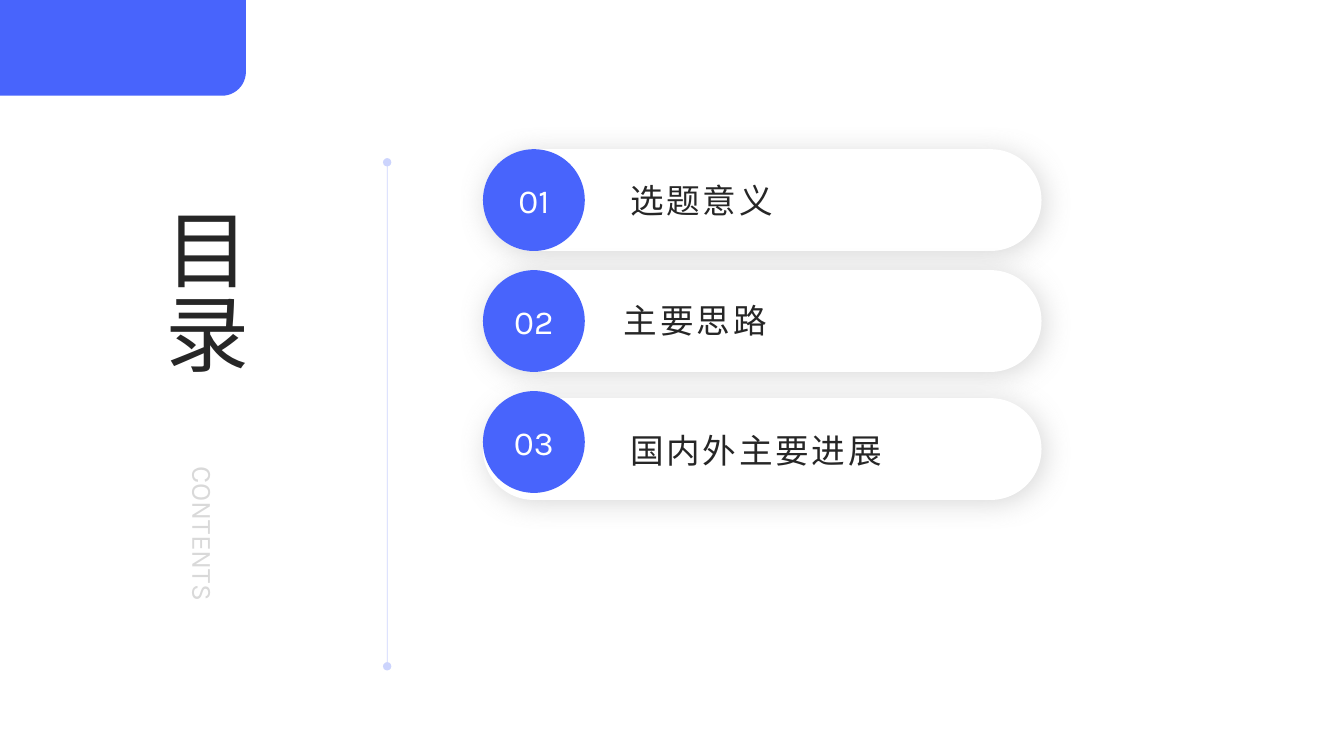
from dataclasses import dataclass

import lxml.etree
import pptx
import pptx.dml.color
import pptx.enum.shapes
import pptx.enum.text
import pptx.oxml.ns
import pptx.util

Inches = pptx.util.Inches
Shape = pptx.enum.shapes.MSO_SHAPE
Align = pptx.enum.text.PP_ALIGN
qn = pptx.oxml.ns.qn

COLORS = {
    "blue": "4864FC",
    "rule": "002AF9",
    "white": "FFFFFF",
    "ink": "262626",
    "pale": "D9D9D9",
    "shadow": "808080",
}
FONT = "Karla"
PILL_LEFT = 4.79
PILL_WIDTH = 5.54
PILL_HEIGHT = 1.01
FIRST_CIRCLE_TOP = 1.48
CIRCLE_STEP = 1.2


@dataclass
class Entry:
    label: str
    pill_top: float
    label_left: float
    label_top: float


ENTRIES = [
    Entry("选题意义", 1.48, 6.15, 1.48),
    Entry("主要思路", 2.68, 6.09, 2.67),
    Entry("国内外主要进展", 3.95, 6.15, 3.96),
]


def rgb(name: str) -> pptx.dml.color.RGBColor:
    return pptx.dml.color.RGBColor.from_string(COLORS[name])


def add_child(parent, tag: str, **attrs):
    return lxml.etree.SubElement(parent, qn(tag), attrs)


def add_block(slide, kind, left: float, top: float, width: float, height: float, color: str):
    sp = slide.shapes.add_shape(kind, Inches(left), Inches(top), Inches(width), Inches(height))
    sp.shadow.inherit = False
    sp.fill.solid()
    sp.fill.fore_color.rgb = rgb(color)
    sp.line.fill.background()
    return sp


def add_box(slide, left: float, top: float, width: float, height: float):
    return slide.shapes.add_textbox(Inches(left), Inches(top), Inches(width), Inches(height))


def write(sp, text: str, size: int, color: str, align=Align.LEFT, spacing: int = 0) -> None:
    tf = sp.text_frame
    tf.word_wrap = True
    tf.vertical_anchor = pptx.enum.text.MSO_ANCHOR.MIDDLE
    tf.text = text
    p = tf.paragraphs[0]
    p.alignment = align
    r = p.runs[0]
    r.font.name = FONT
    r.font.size = pptx.util.Pt(size)
    r.font.color.rgb = rgb(color)
    if spacing:
        r.font._element.set("spc", str(spacing * 100))


def set_margins(sp, side: float) -> None:
    tf = sp.text_frame
    tf.margin_left = tf.margin_right = Inches(side)
    tf.margin_top = tf.margin_bottom = 0


def add_soft_shadow(sp) -> None:
    effects = sp._element.spPr.find(qn("a:effectLst"))
    shadow = add_child(effects, "a:outerShdw", blurRad=str(pptx.util.Pt(20)),
                       dist=str(pptx.util.Pt(3)), dir=str(45 * 60000),
                       algn="tl", rotWithShape="0")
    color = add_child(shadow, "a:srgbClr", val=COLORS["shadow"])
    add_child(color, "a:alpha", val="30000")


def add_corner(slide) -> None:
    sp = add_block(slide, Shape.ROUND_1_RECTANGLE, -0.02, 0, 2.46, 0.95, "blue")
    sp.adjustments[0] = 0.25
    sp._element.spPr.find(qn("a:xfrm")).set("flipV", "1")


def add_rule(slide) -> None:
    line = slide.shapes.add_connector(pptx.enum.shapes.MSO_CONNECTOR.STRAIGHT,
                                      Inches(3.84), Inches(1.61), Inches(3.84), Inches(6.61))
    line.line.width = pptx.util.Pt(0.5)
    line.line.color.rgb = rgb("rule")
    spPr = line._element.spPr
    ln = spPr.find(qn("a:ln"))
    add_child(ln.find(".//" + qn("a:srgbClr")), "a:alpha", val="20000")
    add_child(ln, "a:headEnd", type="oval")
    add_child(ln, "a:tailEnd", type="oval")
    add_child(spPr, "a:effectLst")


def add_heading(slide) -> None:
    contents = add_box(slide, 1.27, 4.53, 1.5, 2.13)
    write(contents, "CONTENTS", 20, "pale", Align.JUSTIFY)
    title = add_box(slide, 1.28, 1.96, 1.5, 2.32)
    write(title, "目录", 60, "ink")
    for sp in (contents, title):
        sp.text_frame._txBody.bodyPr.set("vert", "eaVert")


def add_entry(slide, index: int, entry: Entry) -> None:
    pill = add_block(slide, Shape.ROUNDED_RECTANGLE, PILL_LEFT, entry.pill_top,
                     PILL_WIDTH, PILL_HEIGHT, "white")
    pill.adjustments[0] = 0.5
    add_soft_shadow(pill)

    circle = add_block(slide, Shape.OVAL, PILL_LEFT, FIRST_CIRCLE_TOP + index * CIRCLE_STEP,
                       PILL_HEIGHT, PILL_HEIGHT, "blue")
    write(circle, f"{index + 1:02d}", 24, "white", Align.CENTER)
    set_margins(circle, 0)

    label = add_box(slide, entry.label_left, entry.label_top, 4.19, PILL_HEIGHT)
    write(label, entry.label, 24, "ink", spacing=2)
    set_margins(label, 0.1)


def main() -> None:
    prs = pptx.Presentation()
    prs.slide_width = Inches(13.33)
    prs.slide_height = Inches(7.5)
    slide = prs.slides.add_slide(prs.slide_layouts[6])
    add_rule(slide)
    add_corner(slide)
    add_heading(slide)
    for index, entry in enumerate(ENTRIES):
        add_entry(slide, index, entry)
    prs.save("out.pptx")


if __name__ == "__main__":
    main()
